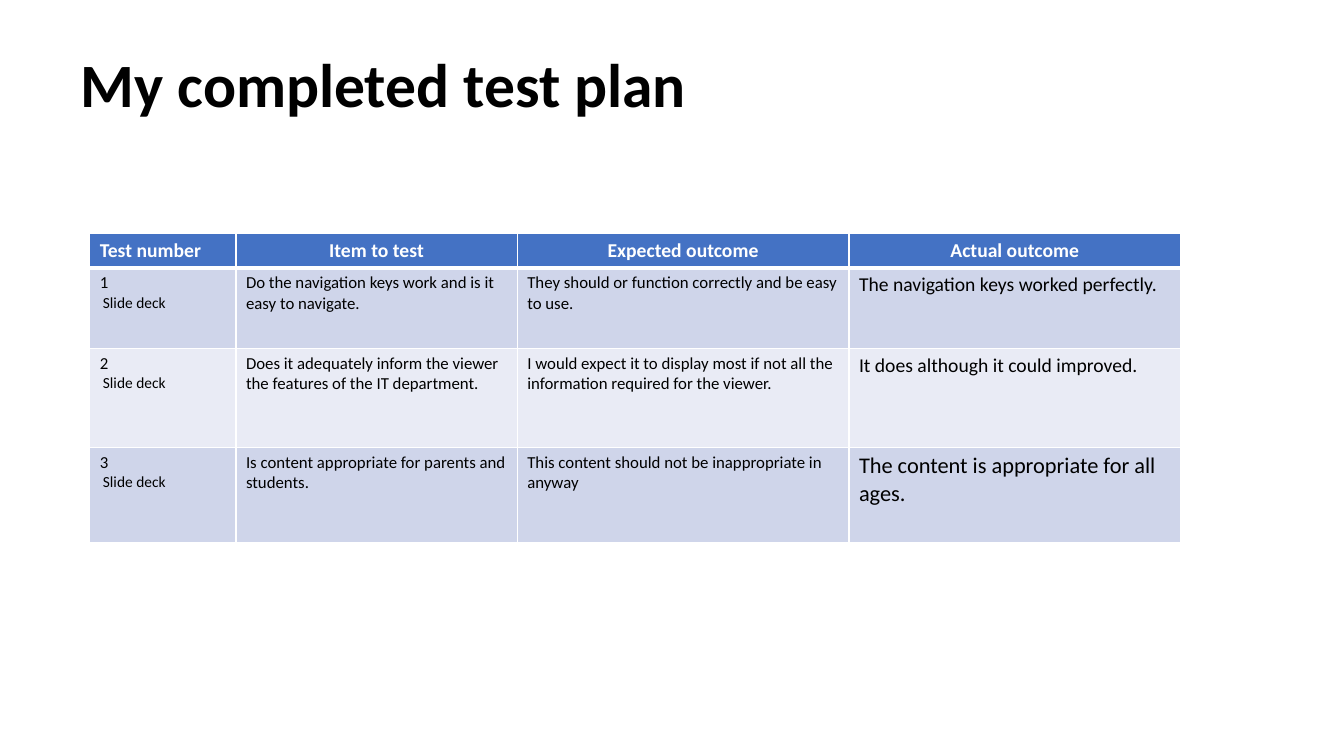
import pptx
import pptx.util
import pptx.dml.color
import pptx.enum.text
import pptx.oxml.ns
import lxml.etree

Inches, Pt = pptx.util.Inches, pptx.util.Pt
RGBColor = pptx.dml.color.RGBColor
PP_ALIGN = pptx.enum.text.PP_ALIGN
MSO_ANCHOR = pptx.enum.text.MSO_ANCHOR

BLACK = RGBColor(0x00, 0x00, 0x00)
WHITE = RGBColor(0xFF, 0xFF, 0xFF)
BLUE = RGBColor(0x44, 0x72, 0xC4)
BAND_DARK = RGBColor(0xCF, 0xD5, 0xEA)
BAND_LIGHT = RGBColor(0xE9, 0xEB, 0xF5)

FONT = "Calibri"
COL_WIDTHS = [1.45, 2.79, 3.29, 3.29]
ROW_HEIGHTS = [0.33, 0.8, 0.98, 0.95]
HEADERS = ["Test number", "Item to test", "Expected outcome", "Actual outcome"]
TEST_KIND = "Slide deck"

# Item, expected outcome, actual outcome, size of the actual outcome
TESTS = [
    ("Do the navigation keys work and is it easy to navigate.",
     "They should or function correctly and be easy to use.",
     "The navigation keys worked perfectly.", 14),
    ("Does it adequately inform the viewer the features of the IT department.",
     "I would expect it to display most if not all the information required for the viewer.",
     "It does although it could improved.", 14),
    ("Is content appropriate for parents and students.",
     "This content should not be inappropriate in anyway",
     "The content is appropriate for all ages.", 16),
]


def write(p, text, size=12, color=BLACK, bold=False, align=PP_ALIGN.LEFT, indent=0):
    """Fill a paragraph with one formatted run."""
    p.alignment = align
    if indent:
        p._p.get_or_add_pPr().set("marL", str(Inches(indent)))
    r = p.add_run()
    r.text = text
    r.font.name = FONT
    r.font.size = Pt(size)
    r.font.bold = bold
    r.font.color.rgb = color


def style_cell(cell, fill, top=1, bottom=1):
    """Give a cell white borders, then its fill."""
    tc_pr = cell._tc.get_or_add_tcPr()
    for side, width in (("L", 1), ("R", 1), ("T", top), ("B", bottom)):
        ln = lxml.etree.SubElement(tc_pr, pptx.oxml.ns.qn(f"a:ln{side}"), w=str(Pt(width)))
        line_fill = lxml.etree.SubElement(ln, pptx.oxml.ns.qn("a:solidFill"))
        lxml.etree.SubElement(line_fill, pptx.oxml.ns.qn("a:srgbClr"), val=str(WHITE))
    cell.fill.solid()
    cell.fill.fore_color.rgb = fill


def add_title(slide, text, left, top, width, height):
    sp = slide.shapes.title
    sp.left, sp.top, sp.width, sp.height = map(Inches, (left, top, width, height))
    tf = sp.text_frame
    tf.word_wrap = True
    tf.auto_size = pptx.enum.text.MSO_AUTO_SIZE.NONE
    tf.vertical_anchor = MSO_ANCHOR.MIDDLE
    p = tf.paragraphs[0]
    p.line_spacing = 0.9
    write(p, text, size=44, bold=True)


def add_test_table(slide, left, top):
    rows, cols = len(ROW_HEIGHTS), len(COL_WIDTHS)
    frame = slide.shapes.add_table(rows, cols, Inches(left), Inches(top),
                                   Inches(sum(COL_WIDTHS)), Inches(sum(ROW_HEIGHTS)))
    table = frame.table
    for column, width in zip(table.columns, COL_WIDTHS):
        column.width = Inches(width)
    for row, height in zip(table.rows, ROW_HEIGHTS):
        row.height = Inches(height)

    # Header row
    for c, header in enumerate(HEADERS):
        cell = table.cell(0, c)
        style_cell(cell, BLUE, bottom=3)
        write(cell.text_frame.paragraphs[0], header, size=14, color=WHITE, bold=True,
              align=PP_ALIGN.CENTER if c else PP_ALIGN.LEFT)

    # One banded row per test
    for n, (item, expected, actual, actual_size) in enumerate(TESTS, start=1):
        texts = [(str(n), 12), (item, 12), (expected, 12), (actual, actual_size)]
        for c, (text, size) in enumerate(texts):
            cell = table.cell(n, c)
            style_cell(cell, BAND_DARK if n % 2 else BAND_LIGHT, top=3 if n == 1 else 1)
            write(cell.text_frame.paragraphs[0], text, size=size)
        write(table.cell(n, 0).text_frame.add_paragraph(), TEST_KIND, size=11, indent=0.03)


def main():
    prs = pptx.Presentation()
    prs.slide_width, prs.slide_height = Inches(13.33), Inches(7.5)
    slide = prs.slides.add_slide(prs.slide_layouts[5])
    add_title(slide, "My completed test plan", 0.7, 0.43, 11.59, 0.88)
    add_test_table(slide, 0.89, 2.32)
    prs.save("out.pptx")


if __name__ == "__main__":
    main()
